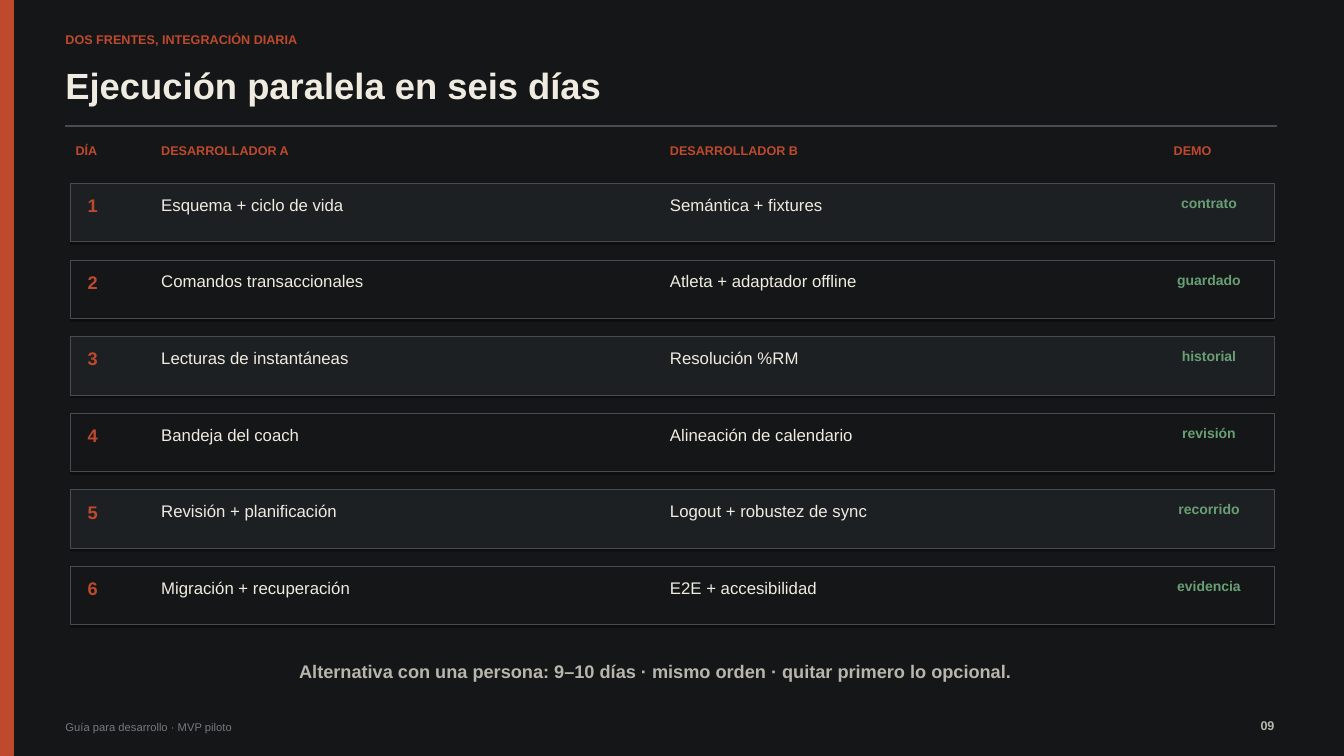
from lxml import etree
from pptx import Presentation
from pptx.dml.color import RGBColor
from pptx.enum.shapes import MSO_CONNECTOR, MSO_SHAPE
from pptx.enum.text import MSO_AUTO_SIZE, PP_ALIGN
from pptx.oxml import parse_xml
from pptx.oxml.ns import nsdecls, qn
from pptx.util import Pt

RECTANGLE = MSO_SHAPE.RECTANGLE
STRAIGHT = MSO_CONNECTOR.STRAIGHT
GROW = MSO_AUTO_SIZE.SHAPE_TO_FIT_TEXT
LEFT, CENTER, RIGHT = PP_ALIGN.LEFT, PP_ALIGN.CENTER, PP_ALIGN.RIGHT

INK = RGBColor(0x14, 0x16, 0x17)
PANEL = RGBColor(0x1D, 0x20, 0x22)
RULE = RGBColor(0x46, 0x4C, 0x4F)
RUST = RGBColor(0xBE, 0x49, 0x2D)
CREAM = RGBColor(0xEF, 0xEB, 0xE0)
STONE = RGBColor(0xB8, 0xB5, 0xAC)
GRAY = RGBColor(0x74, 0x7B, 0x7E)
GREEN = RGBColor(0x68, 0x9F, 0x75)

SHADOW = (
    f'<a:effectLst {nsdecls("a")}>'
    '<a:outerShdw blurRad="0" dist="22860" dir="5400000" rotWithShape="0">'
    '<a:srgbClr val="000000"><a:alpha val="35000"/></a:srgbClr>'
    '</a:outerShdw></a:effectLst>'
)

WIDTH, HEIGHT = 960.48, 540
MARGIN = 46.8
DAY_X, TASK_A_X, TASK_B_X, DEMO_X = 62.64, 115.2, 478.8, 831.6
HEADER_Y = 102.24
ROW_TOP, ROW_PITCH, ROW_HEIGHT = 131.04, 54.72, 41.76
ROW_INSET = 7.92

HEADERS = [
    ("DÍA", 54, 50.4),
    ("DESARROLLADOR A", TASK_A_X, 349.2),
    ("DESARROLLADOR B", TASK_B_X, 349.2),
    ("DEMO", 838.8, 61.2),
]
DAYS = [
    ("Esquema + ciclo de vida", "Semántica + fixtures", "contrato"),
    ("Comandos transaccionales", "Atleta + adaptador offline", "guardado"),
    ("Lecturas de instantáneas", "Resolución %RM", "historial"),
    ("Bandeja del coach", "Alineación de calendario", "revisión"),
    ("Revisión + planificación", "Logout + robustez de sync", "recorrido"),
    ("Migración + recuperación", "E2E + accesibilidad", "evidencia"),
]


class SlideBuilder:
    font_name = "Arial"

    def __init__(self, page):
        self.page = page

    def background(self, color):
        fill = self.page.background.fill
        fill.solid()
        fill.fore_color.rgb = color

    def panel(self, left, top, width, height, color, outline):
        shape = self.page.shapes.add_shape(
            RECTANGLE, Pt(left), Pt(top), Pt(width), Pt(height))
        shape.fill.solid()
        shape.fill.fore_color.rgb = color
        shape.line.color.rgb = outline
        shape.line.width = Pt(0.75)
        shape._element.spPr.append(parse_xml(SHADOW))

    def rule(self, left, top, right, color):
        line = self.page.shapes.add_connector(
            STRAIGHT, Pt(left), Pt(top), Pt(right), Pt(top))
        line.line.color.rgb = color
        line.line.width = Pt(1)
        etree.SubElement(line._element.spPr, qn("a:effectLst"))

    def text(self, words, left, top, width, size, color, bold=True, align=LEFT):
        box = self.page.shapes.add_textbox(
            Pt(left), Pt(top), Pt(width), Pt(size * 1.2))
        frame = box.text_frame
        frame_format = {
            "margin_left": 0, "margin_top": 0, "margin_right": 0,
            "margin_bottom": 0, "word_wrap": True, "auto_size": GROW,
        }
        for name, value in frame_format.items():
            setattr(frame, name, value)
        para = frame.paragraphs[0]
        para.alignment = align
        span = para.add_run()
        span.text = words
        font_format = {"name": self.font_name, "size": Pt(size), "bold": bold}
        for name, value in font_format.items():
            setattr(span.font, name, value)
        span.font.color.rgb = color


def main():
    deck = Presentation()
    deck.slide_width, deck.slide_height = Pt(WIDTH), Pt(HEIGHT)
    builder = SlideBuilder(deck.slides.add_slide(deck.slide_layouts[6]))
    builder.background(INK)

    # Side band, heading and rule
    builder.panel(0, 0, 9.36, HEIGHT, RUST, RUST)
    builder.text("DOS FRENTES, INTEGRACIÓN DIARIA", MARGIN, 23.04, 540, 9, RUST)
    builder.text("Ejecución paralela en seis días", MARGIN, 45.36, 856.8, 26, CREAM)
    builder.rule(MARGIN, 90, 912.96, RULE)

    # Footer
    builder.text("Guía para desarrollo · MVP piloto", MARGIN, 514.8, 252, 8, GRAY,
                 bold=False)
    builder.text("09", 871.2, 512.64, 39.6, 9, STONE, align=RIGHT)

    # Column headers
    for words, left, width in HEADERS:
        builder.text(words, left, HEADER_Y, width, 9, RUST)

    # One panel per day, in alternating fills
    for index, (task_a, task_b, demo) in enumerate(DAYS):
        top = ROW_TOP + index * ROW_PITCH
        text_top = top + ROW_INSET
        builder.panel(50.4, top, 860.4, ROW_HEIGHT, INK if index % 2 else PANEL, RULE)
        builder.text(str(index + 1), DAY_X, text_top, 21.6, 13, RUST)
        builder.text(task_a, TASK_A_X, text_top, 342, 12, CREAM, bold=False)
        builder.text(task_b, TASK_B_X, text_top, 338.4, 12, CREAM, bold=False)
        builder.text(demo, DEMO_X, text_top, 64.8, 10, GREEN, align=CENTER)

    # Closing note
    builder.text("Alternativa con una persona: 9–10 días · mismo orden · "
                 "quitar primero lo opcional.",
                 54, 471.6, 828, 13, STONE, align=CENTER)

    deck.save("out.pptx")


if __name__ == "__main__":
    main()
